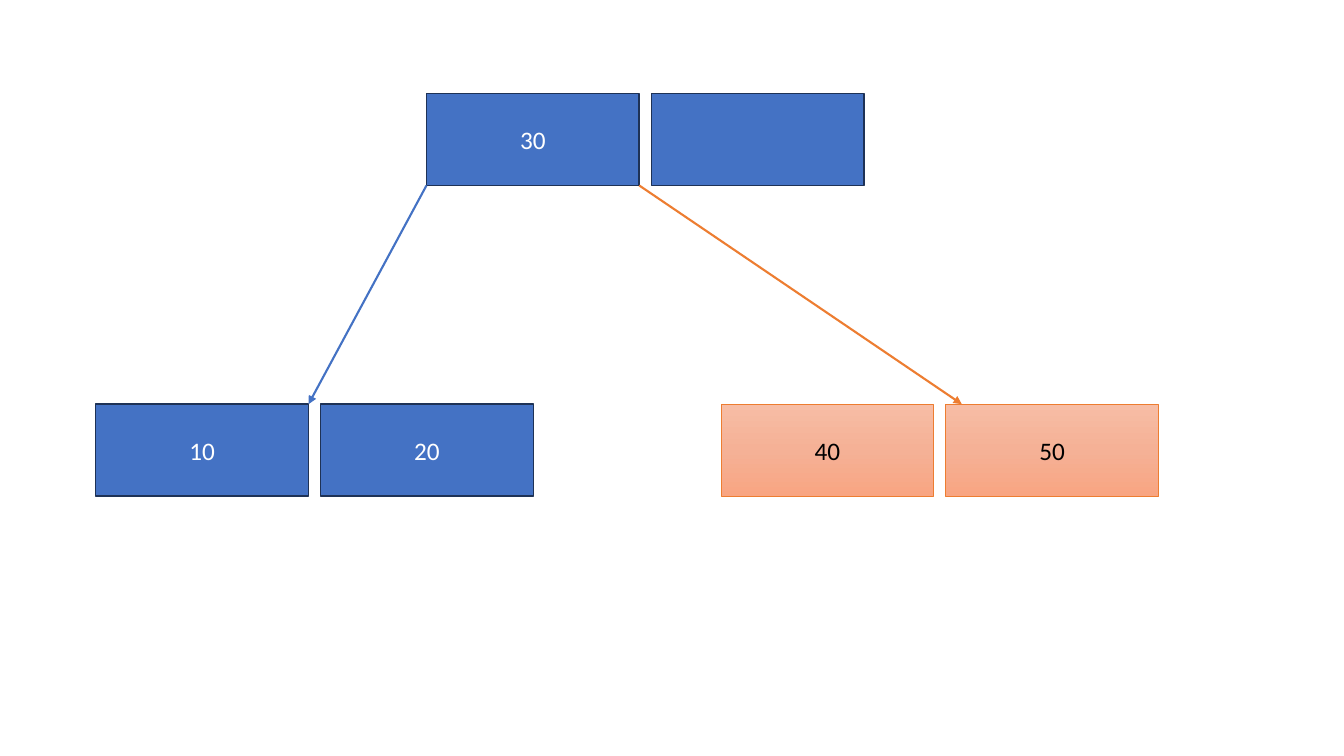
from copy import deepcopy

from lxml import etree
from pptx import Presentation
from pptx import util as u
from pptx.dml.color import RGBColor
from pptx.enum import shapes, text
from pptx.oxml import ns

COLORS = {
    "blue": "4472C4", "navy": "1E3256", "orange": "ED7D31",
    "white": "FFFFFF", "black": "000000",
    "peach_top": "F7BDA5", "peach_middle": "F5B196", "peach_bottom": "F8A582",
}
KEY_WIDTH, KEY_HEIGHT, KEY_GAP = 2.11, 0.91, 0.12
ROOT_TOP, LEAF_TOP = 0.93, 4.01


def rgb(name):
    return RGBColor.from_string(COLORS[name])


def fill_peach(key):
    key.fill.gradient()
    key.fill.gradient_angle = 270
    first = key.element.spPr.find(".//" + ns.qn("a:gs"))
    middle = deepcopy(first)
    middle.set("pos", "50000")
    first.addnext(middle)
    shades = ("peach_top", "peach_middle", "peach_bottom")
    for stop, position, shade in zip(key.fill.gradient_stops, (0, 0.5, 1), shades):
        stop.position = position
        stop.color.rgb = rgb(shade)


def add_node(slide, left, top, labels, new=False):
    for index, label in enumerate(labels):
        key = slide.shapes.add_shape(
            shapes.MSO_SHAPE.RECTANGLE,
            u.Inches(left + index * (KEY_WIDTH + KEY_GAP)), u.Inches(top),
            u.Inches(KEY_WIDTH), u.Inches(KEY_HEIGHT))
        key.shadow.inherit = False
        if new:
            fill_peach(key)
        else:
            key.fill.solid()
            key.fill.fore_color.rgb = rgb("blue")
        key.line.color.rgb = rgb("orange" if new else "navy")
        key.line.width = u.Pt(0.5 if new else 1)
        if label:
            key.text_frame.vertical_anchor = text.MSO_ANCHOR.MIDDLE
            paragraph = key.text_frame.paragraphs[0]
            paragraph.alignment = text.PP_ALIGN.CENTER
            run = paragraph.add_run()
            run.text = label
            run.font.name = "Calibri"
            run.font.size = u.Pt(18)
            run.font.color.rgb = rgb("black" if new else "white")


def add_branch(slide, start, end, color):
    branch = slide.shapes.add_connector(
        shapes.MSO_CONNECTOR.STRAIGHT, *map(u.Inches, start + end))
    branch.line.color.rgb = rgb(color)
    branch.line.width = u.Pt(1.5)
    etree.SubElement(branch.line._get_or_add_ln(), ns.qn("a:tailEnd"), type="triangle")
    etree.SubElement(branch.element.spPr, ns.qn("a:effectLst"))


def add_tree(slide, root_left, left_leaf, right_leaf):
    add_node(slide, root_left, ROOT_TOP, ("30", ""))
    add_node(slide, left_leaf, LEAF_TOP, ("10", "20"))
    add_node(slide, right_leaf, LEAF_TOP, ("40", "50"), new=True)
    root_bottom = ROOT_TOP + KEY_HEIGHT
    add_branch(slide, (root_left, root_bottom),
               (left_leaf + KEY_WIDTH, LEAF_TOP), "blue")
    add_branch(slide, (root_left + KEY_WIDTH, root_bottom),
               (right_leaf + 2.39, LEAF_TOP), "orange")


def main():
    deck = Presentation()
    deck.slide_width, deck.slide_height = u.Inches(13.33), u.Inches(7.5)
    slide = deck.slides.add_slide(deck.slide_layouts[6])
    add_tree(slide, root_left=4.23, left_leaf=0.95, right_leaf=7.15)
    deck.save("out.pptx")


if __name__ == "__main__":
    main()
